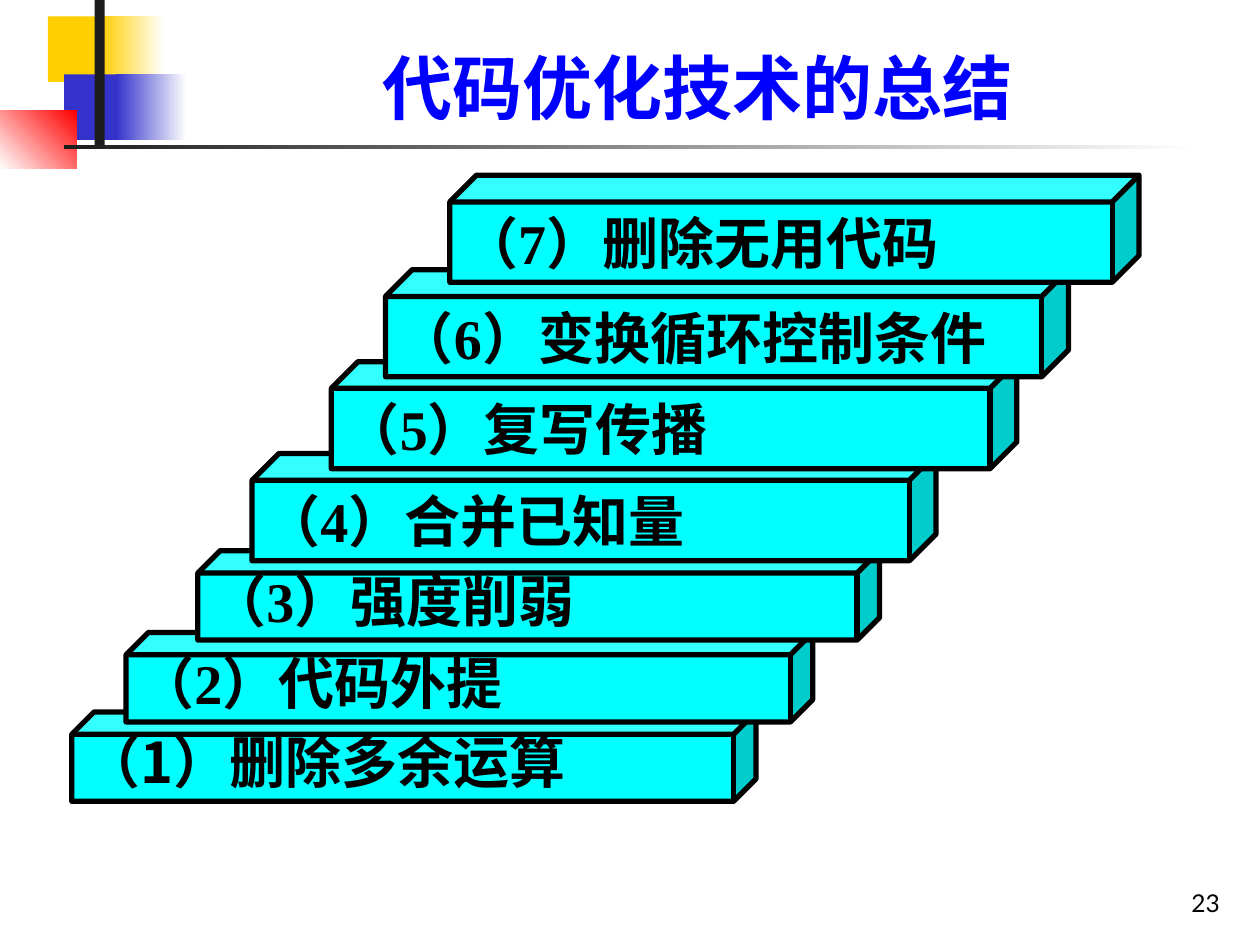
import pptx
import pptx.dml.color
import pptx.enum.shapes
import pptx.enum.text
import pptx.oxml.ns
import pptx.util
from lxml import etree

Pt = pptx.util.Pt
SHAPE = pptx.enum.shapes.MSO_SHAPE
ANCHOR = pptx.enum.text.MSO_ANCHOR
ALIGN = pptx.enum.text.PP_ALIGN
FIT = pptx.enum.text.MSO_AUTO_SIZE

COLORS = {
    "white": "FFFFFF",
    "black": "000000",
    "charcoal": "1C1C1C",
    "yellow": "FFCF01",
    "indigo": "3333CC",
    "red": "FF0000",
    "blue": "0000FF",
    "cyan": "00FFFF",
}
CJK = "Noto Sans CJK SC"
SERIF = "Times New Roman"

ORNAMENTS = [
    ((27.36, 9.36, 48.24, 37.44), ["yellow"], 0),
    ((57.6, 9.36, 36, 37.44), ["yellow", "white"], 0),
    ((36.72, 42.48, 46.08, 37.44), ["indigo"], 0),
    ((66.24, 42.48, 40.32, 37.44), ["indigo", "white"], 0),
    ((0, 63.36, 43.92, 33.12), ["white", "red"], 45),
    ((54, 0, 5.76, 82.8), ["charcoal"], 0),
    ((36.72, 82.8, 648, 2.16), ["charcoal", "white"], 0),
]

LOW, TALL = 51.12, 61.2
STEPS = [
    ("（1）删除多余运算", 41.04, 406.8, 390.96, LOW, CJK),
    ("（2）代码外提", 72, 361.44, 392.4, LOW, SERIF),
    ("（3）强度削弱", 113.04, 314.64, 389.52, LOW, SERIF),
    ("（4）合并已知量", 144, 259.2, 390.96, TALL, SERIF),
    ("（5）复写传播", 189.36, 206.64, 391.68, TALL, SERIF),
    ("（6）变换循环控制条件", 220.32, 154.08, 390.24, TALL, SERIF),
    ("（7）删除无用代码", 257.04, 100.08, 393.84, TALL, SERIF),
]


def rgb(name):
    return pptx.dml.color.RGBColor.from_string(COLORS[name])


def write(frame, text, *, size, font, color, bold=False, align=ALIGN.LEFT,
          anchor=ANCHOR.MIDDLE, spacing=1.0, hanging=0, fit=FIT.NONE):
    frame.word_wrap = True
    frame.auto_size = fit
    frame.vertical_anchor = anchor
    frame.margin_left = frame.margin_right = Pt(7.2)
    frame.margin_top = frame.margin_bottom = Pt(3.6)
    paragraph = frame.paragraphs[0]
    paragraph.alignment = align
    paragraph.line_spacing = spacing
    if hanging:
        properties = paragraph._p.get_or_add_pPr()
        properties.set("marL", str(Pt(hanging)))
        properties.set("indent", str(-Pt(hanging)))
    run = paragraph.add_run()
    run.text = text
    run.font.size = Pt(size)
    run.font.bold = bold
    run.font.color.rgb = rgb(color)
    run.font.name = font
    east_asian = etree.SubElement(run._r.get_or_add_rPr(), pptx.oxml.ns.qn("a:ea"))
    east_asian.set("typeface", CJK)


def add_ornament(slide, box, colors, angle):
    ornament = slide.shapes.add_shape(SHAPE.RECTANGLE, *map(Pt, box))
    ornament.shadow.inherit = False
    ornament.line.fill.background()
    if len(colors) == 1:
        ornament.fill.solid()
        ornament.fill.fore_color.rgb = rgb(colors[0])
        return
    ornament.fill.gradient()
    ornament.fill.gradient_angle = angle
    for stop, color in zip(ornament.fill.gradient_stops, colors):
        stop.color.rgb = rgb(color)


def add_step(slide, text, left, top, width, height, font):
    step = slide.shapes.add_shape(SHAPE.CUBE, Pt(left), Pt(top), Pt(width), Pt(height))
    step.adjustments[0] = 0.25
    step.shadow.inherit = False
    step.fill.solid()
    step.fill.fore_color.rgb = rgb("cyan")
    step.line.color.rgb = rgb("black")
    step.line.width = Pt(3)
    write(step.text_frame, text, size=32, font=font, color="black", bold=True,
          spacing=0.8 if height == LOW else 1.0, hanging=27, fit=FIT.SHAPE_TO_FIT_TEXT)


def add_label(slide, box, text, **style):
    label = slide.shapes.add_textbox(*map(Pt, box))
    write(label.text_frame, text, anchor=ANCHOR.BOTTOM, **style)


def main():
    deck = pptx.Presentation()
    deck.slide_width, deck.slide_height = Pt(720), Pt(540)
    slide = deck.slides.add_slide(deck.slide_layouts[6])
    for box, colors, angle in ORNAMENTS:
        add_ornament(slide, box, colors, angle)
    add_label(slide, (554.4, 491.76, 149.76, 36), "23",
              size=14, font="Lato", color="black", align=ALIGN.RIGHT)
    add_label(slide, (90.72, 16.56, 615.6, 60.48), "代码优化技术的总结",
              size=40, font=CJK, color="blue", bold=True, align=ALIGN.CENTER)
    for step in STEPS:
        add_step(slide, *step)
    deck.save("out.pptx")


if __name__ == "__main__":
    main()
